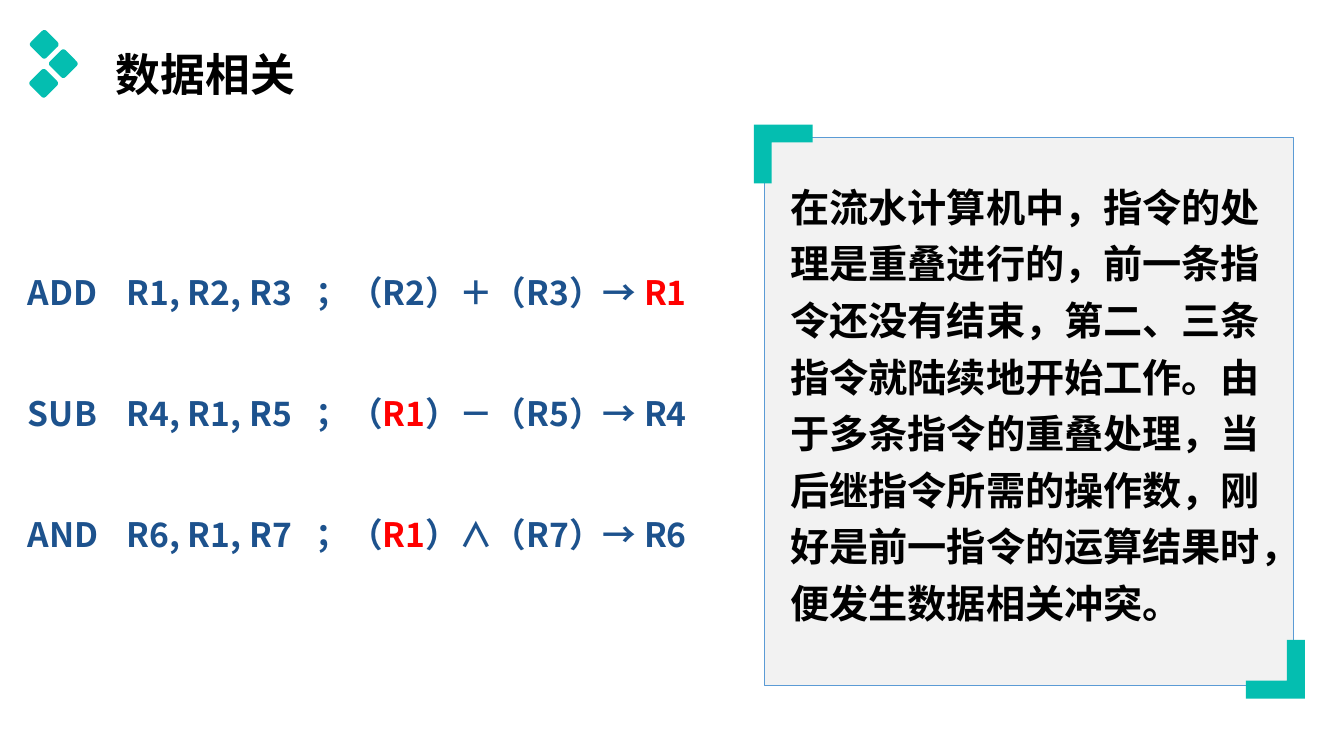
from dataclasses import dataclass

from lxml.etree import SubElement
from pptx import Presentation
from pptx.dml.color import RGBColor
from pptx.enum.shapes import MSO_SHAPE
from pptx.enum.text import MSO_ANCHOR, MSO_AUTO_SIZE, PP_ALIGN
from pptx.oxml.ns import qn
from pptx.util import Pt


@dataclass(frozen=True)
class Theme:
    font: str = "Noto Sans CJK SC"
    black: RGBColor = RGBColor(0x00, 0x00, 0x00)
    teal: RGBColor = RGBColor(0x04, 0xBE, 0xB0)
    navy: RGBColor = RGBColor(0x1D, 0x52, 0x8D)
    red: RGBColor = RGBColor(0xFF, 0x00, 0x00)
    panel: RGBColor = RGBColor(0xF2, 0xF2, 0xF2)
    outline: RGBColor = RGBColor(0x5B, 0x9B, 0xD5)
    title_size: int = 32
    body_size: int = 28
    code_size: int = 24


THEME = Theme()

# Each instruction is a list of (text, is the conflicting register) parts
INSTRUCTIONS = [
    [("ADD\tR1, R2, R3\t；（R2）＋（R3）→ ", False), ("R1", True)],
    [("SUB\tR4, R1, R5\t；（", False), ("R1", True), ("）－（R5）→ R4", False)],
    [("AND\tR6, R1, R7\t；（", False), ("R1", True), ("）∧（R7）→ R6", False)],
]
EXPLANATION = (
    "在流水计算机中，指令的处理是重叠进行的，前一条指令还没有结束，"
    "第二、三条指令就陆续地开始工作。由于多条指令的重叠处理，当后继指令"
    "所需的操作数，刚好是前一指令的运算结果时，便发生数据相关冲突。"
)


def write(frame, paragraphs, *, size, color, leading, accent=None,
          anchor=MSO_ANCHOR.TOP, inset=7.2, tabs=()):
    """Fill a text frame with paragraphs of (text, accented) parts."""
    frame.word_wrap = True
    frame.auto_size = MSO_AUTO_SIZE.NONE
    frame.vertical_anchor = anchor
    frame.margin_left, frame.margin_right = Pt(inset), Pt(7.2)
    frame.margin_top = frame.margin_bottom = Pt(3.6)
    for index, parts in enumerate(paragraphs):
        line = frame.add_paragraph() if index else frame.paragraphs[0]
        line.alignment = PP_ALIGN.LEFT
        line.space_before = line.space_after = Pt(0)
        line.line_spacing = Pt(leading)
        if tabs:
            stops = SubElement(line._p.get_or_add_pPr(), qn("a:tabLst"))
            for stop in tabs:
                SubElement(stops, qn("a:tab"), pos=str(Pt(stop)), algn="l")
        for text, accented in parts:
            run = line.add_run()
            run.text = text
            run.font.name = THEME.font
            run.font.size = Pt(size)
            run.font.bold = True
            run.font.color.rgb = accent if accented else color
            SubElement(run._r.get_or_add_rPr(), qn("a:ea"), typeface=THEME.font)


def paint(shape, fill, outline=None):
    shape.shadow.inherit = False
    shape.fill.solid()
    shape.fill.fore_color.rgb = fill
    if outline is None:
        shape.line.fill.background()
    else:
        shape.line.color.rgb = outline
        shape.line.width = Pt(0.75)


def add_bracket(slide, x, y, direction):
    """Corner bracket whose arms run from (x, y): 1 right and down, -1 left and up."""
    arm, thick = 42 * direction, 12.8 * direction
    outline = [(arm, 0), (arm, thick), (thick, thick), (thick, arm), (0, arm)]
    builder = slide.shapes.build_freeform(Pt(x), Pt(y))
    builder.add_line_segments([(Pt(x + dx), Pt(y + dy)) for dx, dy in outline])
    paint(builder.convert_to_shape(), THEME.teal)


def add_header(slide, left, top, width, height):
    # Three rounded diamonds
    side = 15.8
    diamonds = slide.shapes.add_group_shape()
    for center_x, center_y in [(10.6, 31.7), (24.2, 45.5), (10.2, 59.5)]:
        diamond = diamonds.shapes.add_shape(
            MSO_SHAPE.ROUNDED_RECTANGLE,
            Pt(left + center_x - side / 2), Pt(top + center_y - side / 2),
            Pt(side), Pt(side))
        diamond.adjustments[0] = 0.14
        diamond.rotation = 45
        paint(diamond, THEME.teal)

    # Title
    indent = 54.6
    title = slide.shapes.title
    title.left, title.top = Pt(left + indent), Pt(top)
    title.width, title.height = Pt(width - indent), Pt(height)
    write(title.text_frame, [[("数据相关", False)]], size=THEME.title_size,
          color=THEME.black, leading=46, anchor=MSO_ANCHOR.MIDDLE)


def add_instructions(slide, left, top, width, height):
    listing = slide.shapes.add_textbox(Pt(left), Pt(top), Pt(width), Pt(height))
    write(listing.text_frame, INSTRUCTIONS, size=THEME.code_size,
          color=THEME.navy, accent=THEME.red, leading=86.4,
          anchor=MSO_ANCHOR.MIDDLE, inset=18, tabs=(70.5, 205.5))


def add_explanation(slide, left, top, width, height):
    # Panel with brackets at two opposite corners
    panel = slide.shapes.add_shape(
        MSO_SHAPE.RECTANGLE, Pt(left), Pt(top), Pt(width), Pt(height))
    paint(panel, THEME.panel, THEME.outline)
    add_bracket(slide, left - 7.5, top - 9, 1)
    add_bracket(slide, left + width + 8, top + height + 9, -1)

    # Explanation
    explanation = slide.shapes.add_textbox(
        Pt(left + 11.5), Pt(top + 22.5), Pt(width - 20), Pt(height - 22.5))
    write(explanation.text_frame, [[(EXPLANATION, False)]],
          size=THEME.body_size, color=THEME.black, leading=40.4)


def main():
    deck = Presentation()
    deck.slide_width, deck.slide_height = Pt(960), Pt(540)
    slide = deck.slides.add_slide(deck.slide_layouts[5])
    add_header(slide, 21, 0, 882, 97)
    add_instructions(slide, 2, 132, 537, 269)
    add_explanation(slide, 546, 98, 378, 392)
    deck.save("out.pptx")


if __name__ == "__main__":
    main()
